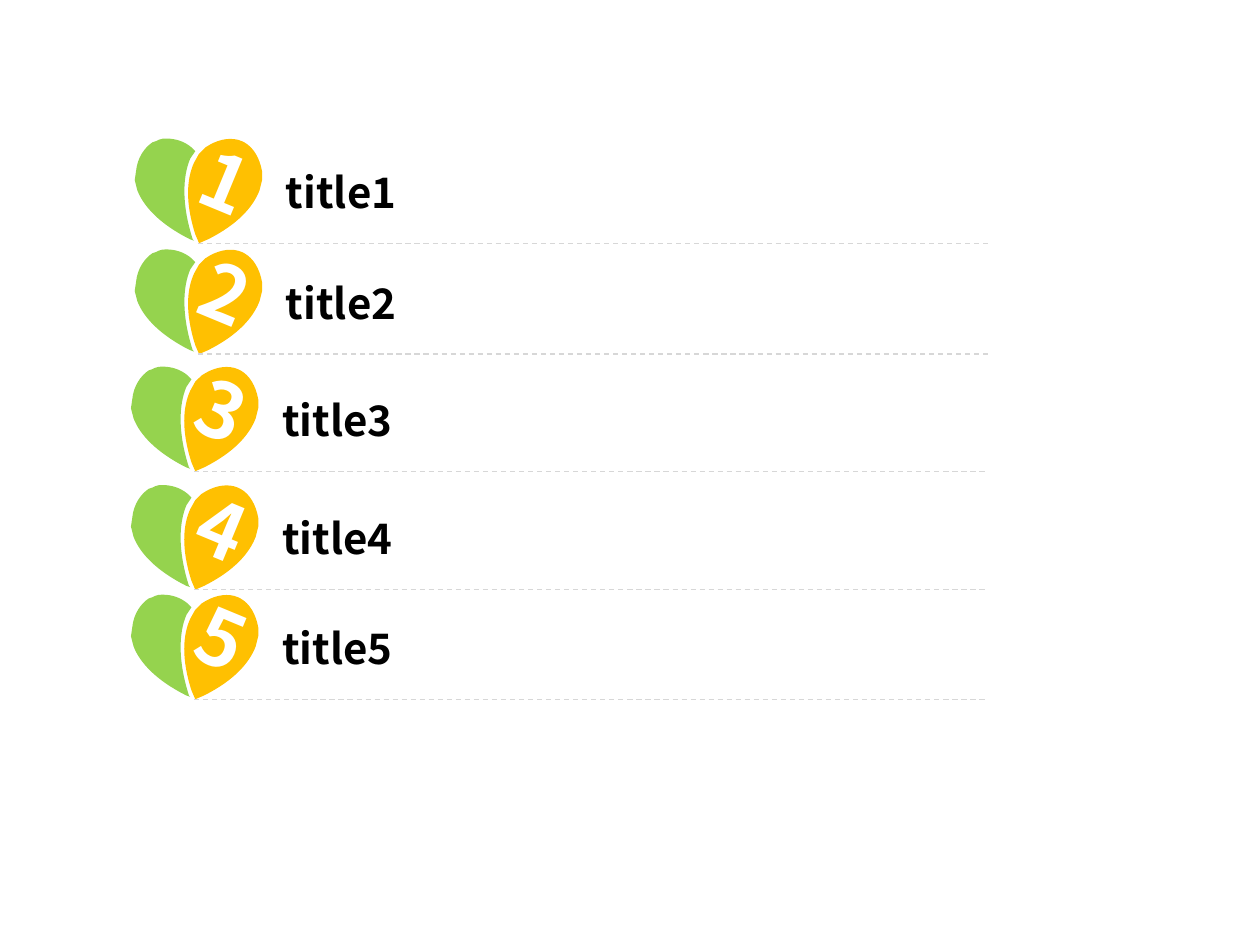
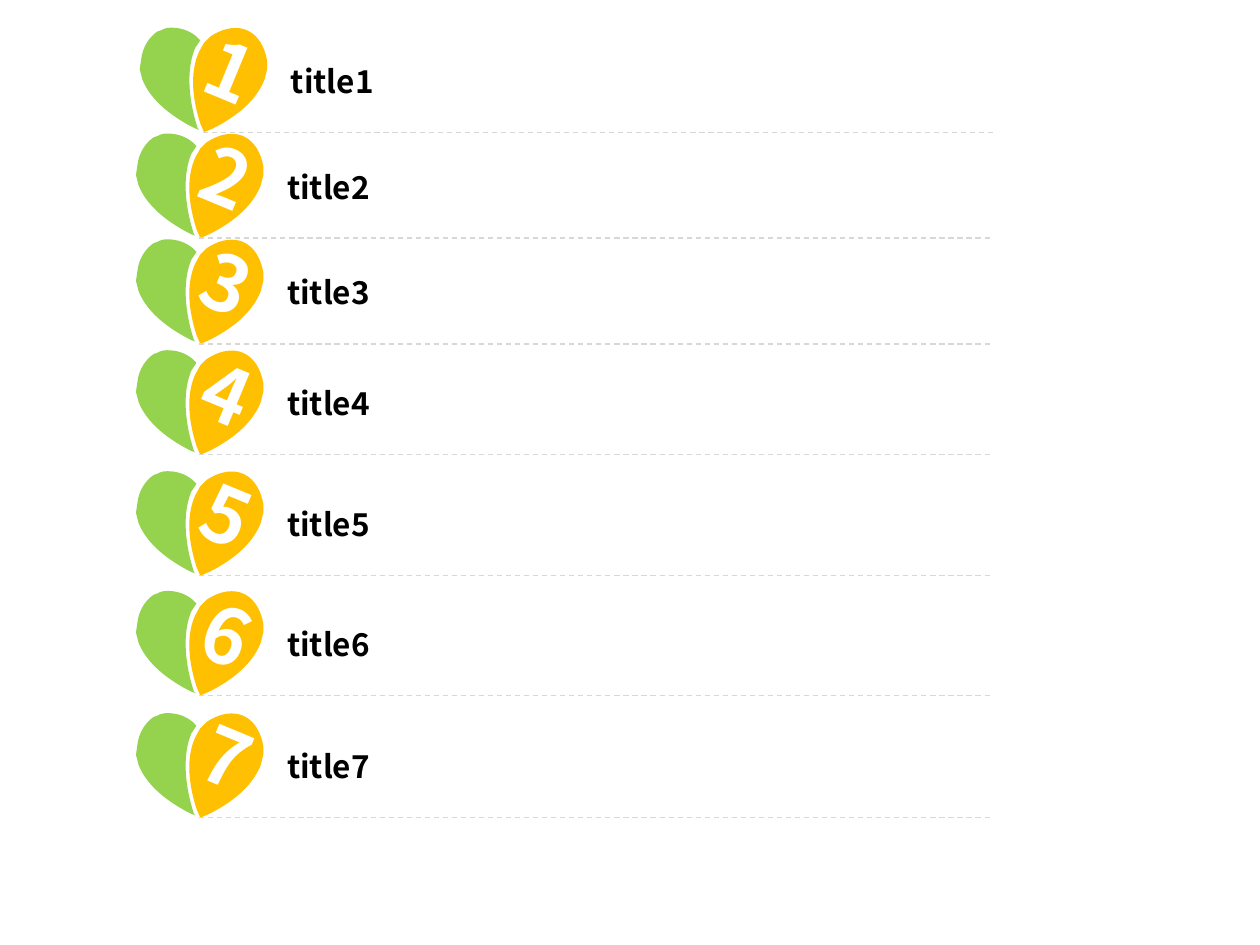
"""Two agenda slides: numbered two-leaf markers with titles on dashed rules."""
import math
from dataclasses import dataclass

from lxml import etree
from pptx import Presentation
from pptx import util as u
from pptx.dml.color import RGBColor
from pptx.enum import dml, shapes, text
from pptx.oxml import ns

Inches, Pt = u.Inches, u.Pt


@dataclass(frozen=True)
class Theme:
    """Colours, fonts and type sizes shared by the slides."""
    green: str = "95D34E"
    orange: str = "FFC001"
    rule: str = "D7D7D7"
    white: str = "FFFFFF"
    black: str = "000000"
    number_font: str = "Noto Sans CJK JP"
    title_font: str = "Noto Sans CJK SC"
    number_size: int = 44
    large_title: int = 24
    small_title: int = 18


@dataclass(frozen=True)
class Leaf:
    """A leaf: its frame before rotation, and its turned outline, in row inches.

    An outline step of one point is a line; one of three is a Bezier curve.
    """
    frame: tuple
    rotation: float
    outline: tuple


THEME = Theme()
LEFT_LEAF = Leaf((0.05, 0, 0.54, 0.85), -22.5, (
    ((0.25, 0.01),), ((0.32, 0.01), (0.39, 0.03), (0.45, 0.08)),
    ((0.48, 0.11),), ((0.44, 0.17),),
    ((0.38, 0.31), (0.37, 0.53), (0.46, 0.81)),
    ((0.47, 0.82),), ((0.44, 0.81),),
    ((0.20, 0.69), (0.07, 0.55), (0.02, 0.42)),
    ((0, 0.34),), ((0.01, 0.27),),
    ((0.02, 0.16), (0.08, 0.08), (0.14, 0.04)),
    ((0.17, 0.03),), ((0.19, 0.02),),
    ((0.21, 0.01), (0.23, 0.01), (0.25, 0.01))))
RIGHT_LEAF = Leaf((0.40, 0, 0.57, 0.88), 22.5, (
    ((0.85, 0.03),), ((0.82, 0.02),),
    ((0.74, 0), (0.65, 0.02), (0.56, 0.08)),
    ((0.51, 0.13),), ((0.47, 0.20),),
    ((0.41, 0.33), (0.40, 0.52), (0.48, 0.77)),
    ((0.51, 0.84),), ((0.58, 0.81),),
    ((0.82, 0.69), (0.94, 0.55), (0.99, 0.42)),
    ((1.01, 0.34),), ((1.01, 0.27),),
    ((0.99, 0.16), (0.94, 0.08), (0.87, 0.04))))

RULE_START, RULE_END, RULE_TOP = 0.5, 6.8, 0.84
TITLE_BOX = (1.1, 0.11, 5.7, 0.64)


def upright(point, leaf):
    """Turn a point back around the leaf's centre, measured from its frame."""
    left, top, width, height = leaf.frame
    angle = math.radians(leaf.rotation)
    x, y = point[0] - left - width / 2, point[1] - top - height / 2
    return (Inches(width / 2 + x * math.cos(angle) + y * math.sin(angle)),
            Inches(height / 2 - x * math.sin(angle) + y * math.cos(angle)))


def add_run(paragraph, words, font, size, color):
    """Add one bold run to a paragraph."""
    run = paragraph.add_run()
    run.text = words
    run.font.name, run.font.size, run.font.bold = font, Pt(size), True
    run.font.color.rgb = RGBColor.from_string(color)


def bend_outline(shape, steps):
    """Redraw a freeform's outline with its lines and Bezier curves."""
    contour = next(shape.element.iter(ns.qn("a:path")))
    for child in list(contour):
        contour.remove(child)
    contour.set("w", str(shape.width))
    contour.set("h", str(shape.height))
    for index, points in enumerate(steps):
        tag = "a:cubicBezTo" if len(points) == 3 else "a:lnTo" if index else "a:moveTo"
        segment = etree.SubElement(contour, ns.qn(tag))
        for x, y in points:
            etree.SubElement(segment, ns.qn("a:pt"), x=str(x), y=str(y))
    etree.SubElement(contour, ns.qn("a:close"))


def add_leaf(slide, leaf, left, top, color):
    """Draw a leaf in the row whose corner is at left, top."""
    steps = [[upright(point, leaf) for point in step] for step in leaf.outline]
    corners = [points[-1] for points in steps]
    builder = slide.shapes.build_freeform(*corners[0])
    builder.add_line_segments(corners[1:], close=True)
    shape = builder.convert_to_shape()
    x, y, width, height = leaf.frame
    shape.left, shape.top = Inches(left + x), Inches(top + y)
    shape.width, shape.height = Inches(width), Inches(height)
    bend_outline(shape, steps)
    shape.rotation = leaf.rotation
    shape.shadow.inherit = False
    shape.fill.solid()
    shape.fill.fore_color.rgb = RGBColor.from_string(color)
    shape.line.fill.background()
    return shape


def add_marker(slide, left, top, number):
    """Draw the two leaves, with the number on the right one."""
    add_leaf(slide, LEFT_LEAF, left, top, THEME.green)
    frame = add_leaf(slide, RIGHT_LEAF, left, top, THEME.orange).text_frame
    frame.margin_left = frame.margin_top = frame.margin_right = 0
    frame.margin_bottom = Inches(0.2)
    frame.vertical_anchor = text.MSO_ANCHOR.MIDDLE
    paragraph = frame.paragraphs[0]
    paragraph.alignment = text.PP_ALIGN.CENTER
    add_run(paragraph, str(number), THEME.number_font, THEME.number_size, THEME.white)


def add_rule(slide, left, top):
    """Draw the dashed rule under a row."""
    y = Inches(top + RULE_TOP)
    rule = slide.shapes.add_connector(
        shapes.MSO_CONNECTOR.STRAIGHT,
        Inches(left + RULE_START), y, Inches(left + RULE_END), y)
    rule.line.color.rgb = RGBColor.from_string(THEME.rule)
    rule.line.width = Pt(0.75)
    rule.line.dash_style = dml.MSO_LINE.DASH
    etree.SubElement(rule.element.spPr, ns.qn("a:effectLst"))


def add_row(slide, left, top, number, title_size):
    """Place marker, rule and title of one agenda row."""
    add_marker(slide, left, top, number)
    add_rule(slide, left, top)
    x, y, width, height = TITLE_BOX
    box = slide.shapes.add_textbox(
        Inches(left + x), Inches(top + y), Inches(width), Inches(height))
    frame = box.text_frame
    frame.word_wrap = True
    frame.vertical_anchor = text.MSO_ANCHOR.MIDDLE
    add_run(frame.paragraphs[0], f"title{number}",
            THEME.title_font, title_size, THEME.black)


def add_agenda(presentation, corners, title_size):
    """Add a slide with one numbered row at each corner."""
    slide = presentation.slides.add_slide(presentation.slide_layouts[6])
    for number, (left, top) in enumerate(corners, start=1):
        add_row(slide, left, top, number, title_size)


def main():
    """Build and save both agenda slides."""
    presentation = Presentation()
    presentation.slide_width, presentation.slide_height = Inches(10), Inches(7.5)
    add_agenda(presentation,
               [(1.07, 1.09), (1.07, 1.97), (1.04, 2.9), (1.04, 3.84), (1.04, 4.71)],
               THEME.large_title)
    add_agenda(presentation,
               [(1.11, 0.21)] + [(1.08, top) for top in (1.05, 1.89, 2.77, 3.73, 4.68, 5.65)],
               THEME.small_title)
    presentation.save("out.pptx")


main()
